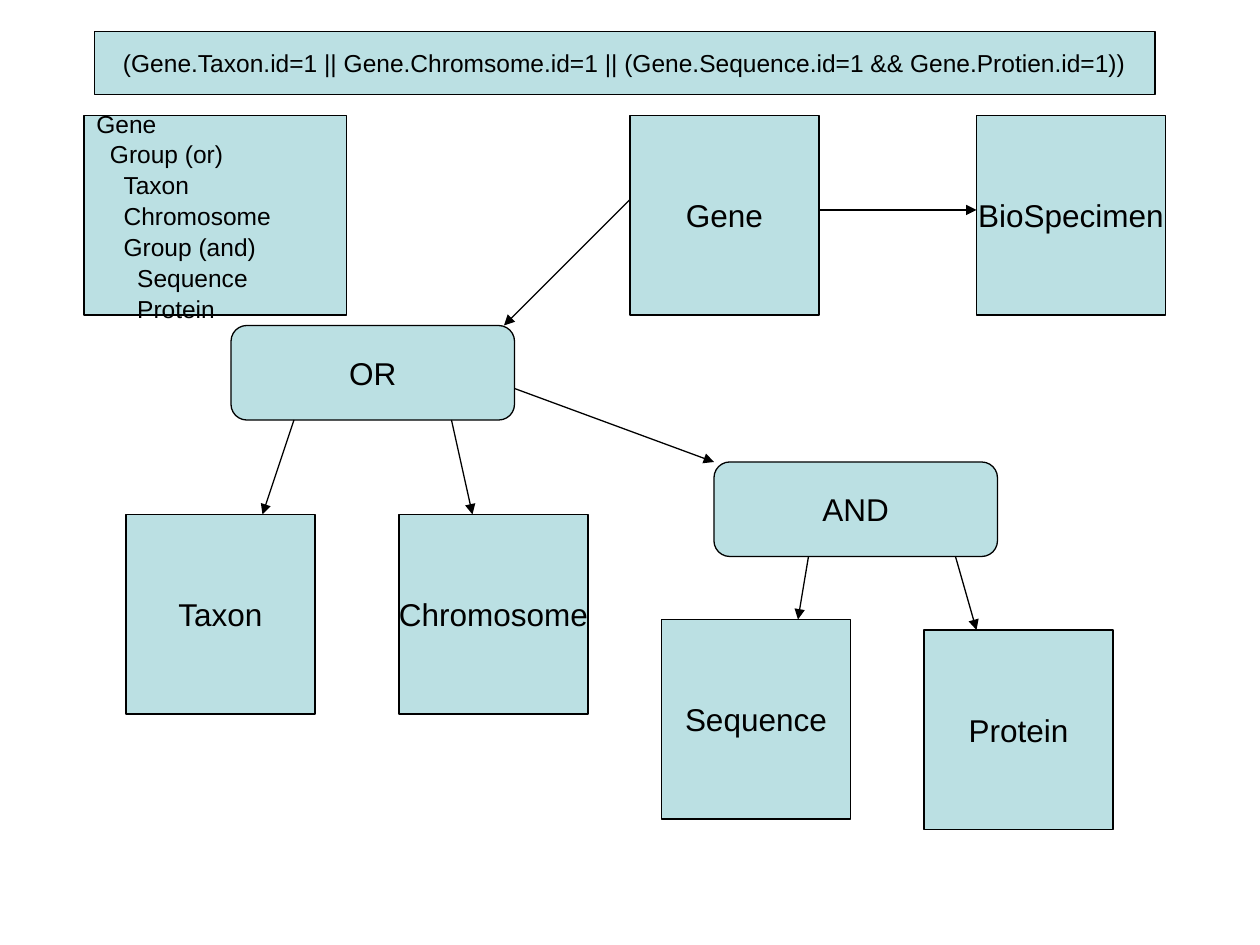
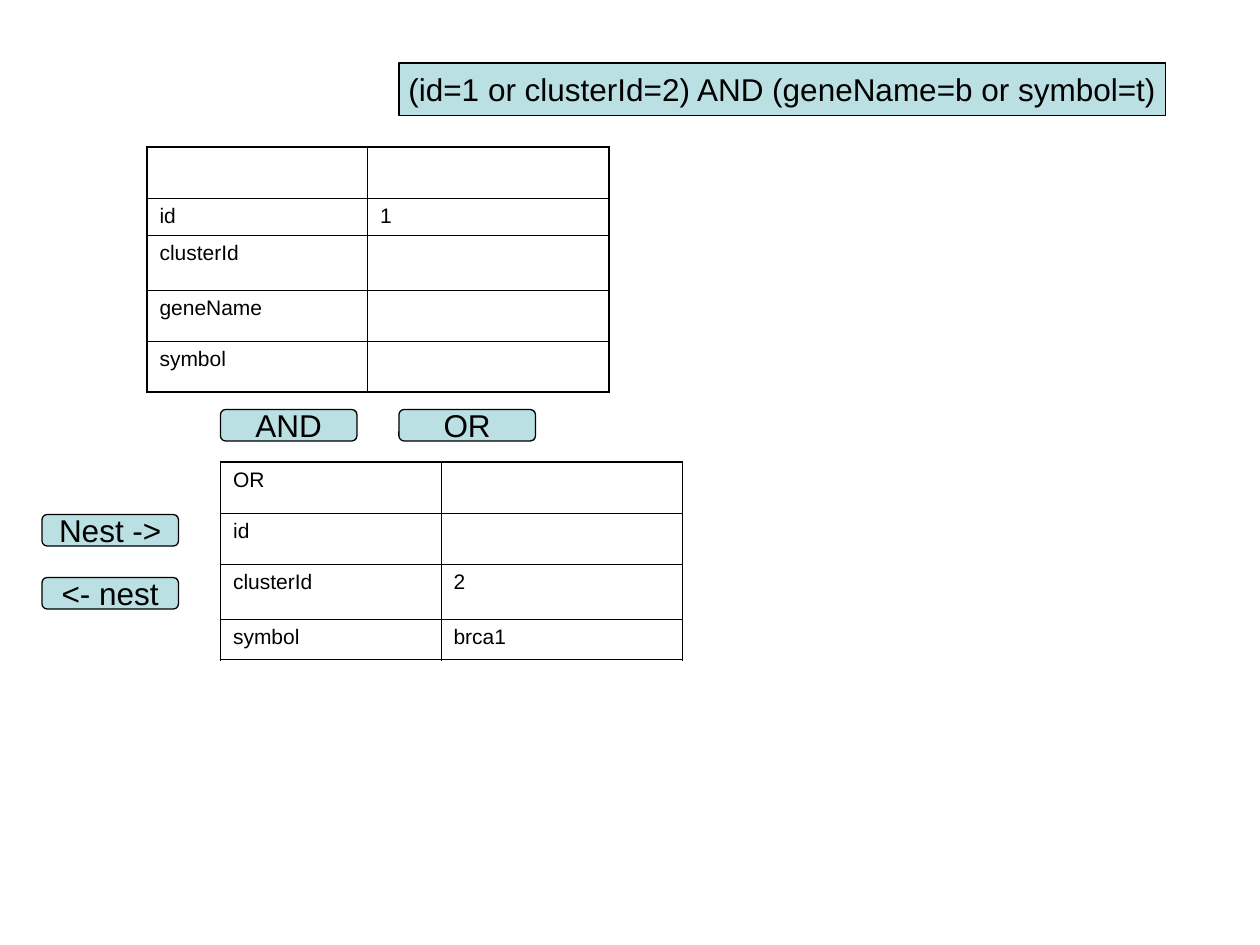
from dataclasses import dataclass

from lxml.etree import SubElement
from pptx import Presentation
from pptx.dml.color import RGBColor
from pptx.enum.shapes import MSO_CONNECTOR as Connector, MSO_SHAPE as Shape
from pptx.enum.text import MSO_ANCHOR as Anchor, PP_ALIGN as Align
from pptx.oxml import parse_xml
from pptx.oxml.ns import nsdecls, qn
from pptx.slide import Slide
from pptx.util import Pt

PALE_TEAL = RGBColor(0xBB, 0xE0, 0xE3)
BLACK = RGBColor(0, 0, 0)
FONT = "Arial"
LINE_WIDTH = 0.75
OUTER_BORDER, INNER_BORDER = 1.08, 0.45
INDENT_STEP = 7.78
COLUMN_WIDTHS = (126, 138)

CLASS_SIZE = (108, 114)
OPERATOR_SIZE = (162, 54)
BUTTON_SIZE = (78, 18)


@dataclass(frozen=True)
class Box:
    text: str
    left: float
    top: float
    size: tuple[float, float]
    rounded: bool = False
    font_size: float = 18


@dataclass(frozen=True)
class Arrow:
    start: tuple[float, float]
    end: tuple[float, float]


@dataclass(frozen=True)
class Criteria:
    left: float
    top: float
    row_heights: tuple[float, ...]
    rows: tuple[tuple[str, str], ...]


QUERY_TREE = (
    Box("Gene", 360, 66, CLASS_SIZE),
    Box("OR", 132, 186, OPERATOR_SIZE, rounded=True),
    Box("Taxon", 72, 294, CLASS_SIZE),
    Box("Chromosome", 228, 294, CLASS_SIZE),
    Box("AND", 408, 264, OPERATOR_SIZE, rounded=True),
    Box("Sequence", 378, 354, CLASS_SIZE),
    Box("Protein", 528, 360, CLASS_SIZE),
    Box("BioSpecimen", 558, 66, CLASS_SIZE),
    Box("(Gene.Taxon.id=1 || Gene.Chromsome.id=1 || "
        "(Gene.Sequence.id=1 && Gene.Protien.id=1))", 54, 18, (606, 36), font_size=14),
)
TREE_ARROWS = (
    Arrow((360, 114), (288, 186)),
    Arrow((168, 240), (150, 294)),
    Arrow((258, 240), (270, 294)),
    Arrow((294, 222), (408, 264)),
    Arrow((462, 318), (456, 354)),
    Arrow((546, 318), (558, 360)),
    Arrow((468, 120), (558, 120)),
)
OUTLINE_LEVELS = (0, 1, 2, 2, 2, 3, 3)
OUTLINE = Box("Gene\nGroup (or)\nTaxon\nChromosome\nGroup (and)\nSequence\nProtein",
              48, 66, (150, 114), font_size=14)

QUERY_FORM = (
    Box("AND", 126, 234, BUTTON_SIZE, rounded=True),
    Box("OR", 228, 234, BUTTON_SIZE, rounded=True),
    Box("(id=1 or clusterId=2) AND (geneName=b or symbol=t)", 228, 36, (438, 30)),
    Box("Nest ->", 24, 294, BUTTON_SIZE, rounded=True),
    Box("<- nest", 24, 330, BUTTON_SIZE, rounded=True),
)
CRITERIA = (
    Criteria(84, 84, (27.4, 21.2, 31.3, 23.3, 23.3),
             (("", ""), ("id", "1"), ("clusterId", ""), ("geneName", ""), ("symbol", ""))),
    Criteria(126, 264, (27.4, 21.2, 31.3, 23.3),
             (("OR", ""), ("id", ""), ("clusterId", "2"), ("symbol", "brca1"))),
)


def style_font(paragraph, size: float) -> None:
    paragraph.font.name = FONT
    paragraph.font.size = Pt(size)
    paragraph.font.color.rgb = BLACK


def draw_box(slide: Slide, box: Box, align: Align = Align.CENTER):
    preset = Shape.ROUNDED_RECTANGLE if box.rounded else Shape.RECTANGLE
    shape = slide.shapes.add_shape(preset, Pt(box.left), Pt(box.top), *map(Pt, box.size))
    shape.shadow.inherit = False
    shape.fill.solid()
    shape.fill.fore_color.rgb = PALE_TEAL
    shape.line.color.rgb = BLACK
    shape.line.width = Pt(LINE_WIDTH)
    frame = shape.text_frame
    frame.word_wrap = False
    frame.vertical_anchor = Anchor.MIDDLE
    frame.text = box.text
    for paragraph in frame.paragraphs:
        paragraph.alignment = align
        style_font(paragraph, box.font_size)
    return shape


def draw_outline(slide: Slide, box: Box, levels: tuple[int, ...]) -> None:
    shape = draw_box(slide, box, Align.LEFT)
    for paragraph, level in zip(shape.text_frame.paragraphs, levels):
        paragraph.line_spacing = 1.05
        properties = paragraph._p.get_or_add_pPr()
        properties.set("marL", str(Pt(INDENT_STEP * level)))
        properties.set("indent", "0")


def draw_arrow(slide: Slide, arrow: Arrow) -> None:
    connector = slide.shapes.add_connector(
        Connector.STRAIGHT, *map(Pt, arrow.start + arrow.end))
    connector.line.color.rgb = BLACK
    connector.line.width = Pt(LINE_WIDTH)
    SubElement(connector.line._get_or_add_ln(), qn("a:tailEnd"), type="triangle")
    SubElement(connector._element.spPr, qn("a:effectLst"))


def set_borders(cell, outer_sides: dict[str, bool]) -> None:
    properties = cell._tc.get_or_add_tcPr()
    for position, (side, outer) in enumerate(outer_sides.items()):
        width = Pt(OUTER_BORDER if outer else INNER_BORDER)
        properties.insert(position, parse_xml(
            f'<a:ln{side} {nsdecls("a")} w="{width}"><a:solidFill>'
            f'<a:srgbClr val="{BLACK}"/></a:solidFill></a:ln{side}>'))


def draw_criteria(slide: Slide, criteria: Criteria) -> None:
    last_row, last_column = len(criteria.rows) - 1, len(COLUMN_WIDTHS) - 1
    table = slide.shapes.add_table(
        last_row + 1, last_column + 1, Pt(criteria.left), Pt(criteria.top),
        Pt(sum(COLUMN_WIDTHS)), Pt(sum(criteria.row_heights))).table
    table.first_row = table.horz_banding = False
    for column, width in zip(table.columns, COLUMN_WIDTHS):
        column.width = Pt(width)
    for r, (values, height) in enumerate(zip(criteria.rows, criteria.row_heights)):
        table.rows[r].height = Pt(height)
        for c, value in enumerate(values):
            cell = table.cell(r, c)
            cell.fill.background()
            set_borders(cell, {"L": c == 0, "R": c == last_column,
                               "T": r == 0, "B": r == last_row})
            if value:
                cell.text = value
                style_font(cell.text_frame.paragraphs[0], 12)


def main() -> None:
    deck = Presentation()
    deck.slide_width, deck.slide_height = Pt(720), Pt(540)
    blank = deck.slide_layouts[6]

    tree = deck.slides.add_slide(blank)
    for box in QUERY_TREE:
        draw_box(tree, box)
    for arrow in TREE_ARROWS:
        draw_arrow(tree, arrow)
    draw_outline(tree, OUTLINE, OUTLINE_LEVELS)

    form = deck.slides.add_slide(blank)
    for criteria in CRITERIA:
        draw_criteria(form, criteria)
    for box in QUERY_FORM:
        draw_box(form, box)

    deck.save("out.pptx")


if __name__ == "__main__":
    main()
